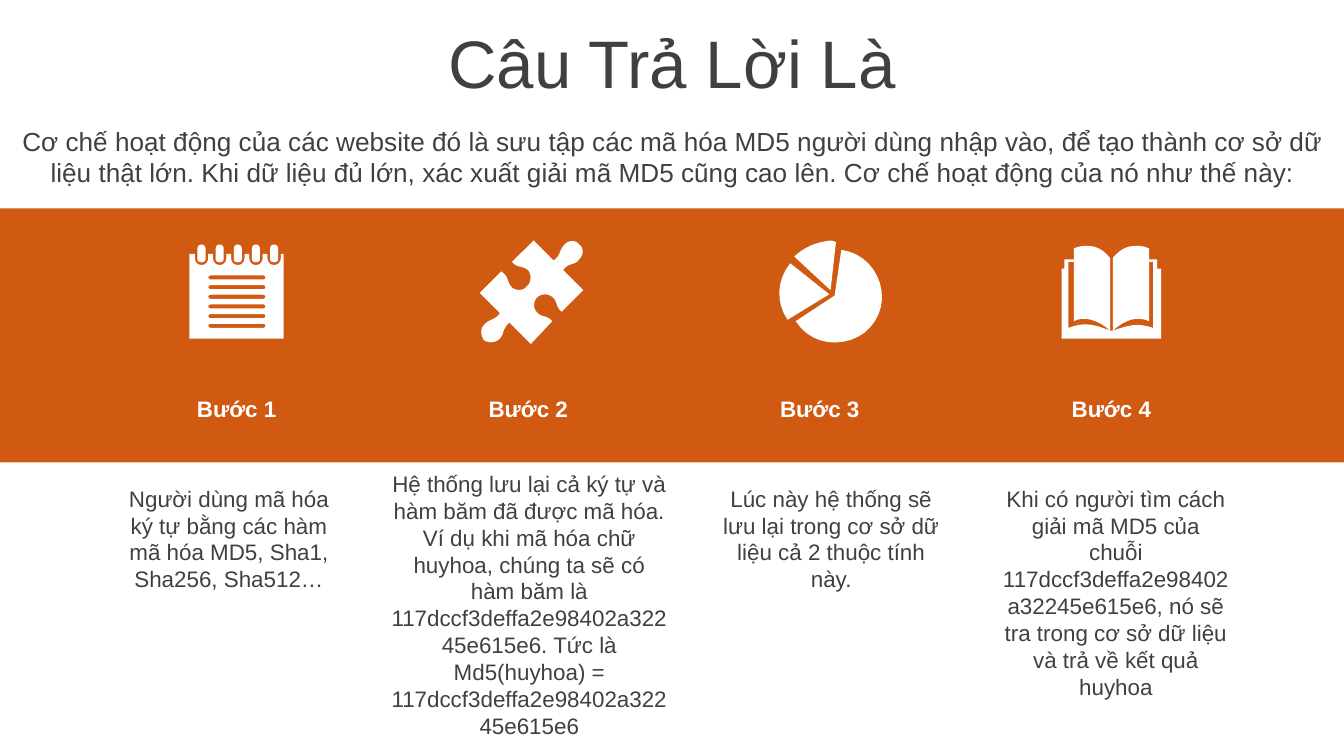
from pptx import Presentation
from pptx.dml.color import RGBColor
from pptx.enum.shapes import MSO_SHAPE
from pptx.enum.text import MSO_ANCHOR, MSO_AUTO_SIZE, PP_ALIGN
from pptx.util import Cm, Pt

RECTANGLE = MSO_SHAPE.RECTANGLE
CENTER = PP_ALIGN.CENTER
TOP, MIDDLE = MSO_ANCHOR.TOP, MSO_ANCHOR.MIDDLE
FIXED, GROW = MSO_AUTO_SIZE.NONE, MSO_AUTO_SIZE.SHAPE_TO_FIT_TEXT

THEME = {
    "font": "Arial",
    "dark": RGBColor.from_string("404040"),
    "white": RGBColor.from_string("FFFFFF"),
    "orange": RGBColor.from_string("D15A12"),
    "title": Pt(36), "intro": Pt(14), "body": Pt(12),
}
SLIDE_WIDTH, SLIDE_HEIGHT = 25.4, 14.29
LABEL_LEFT, LABEL_STEP = 2.62, 5.51
ICON_UNIT = 0.0254
CURVE_STEPS = 8

TITLE = "Câu Trả Lời Là"
INTRO = (
    "Cơ chế hoạt động của các website đó là sưu tập các mã hóa MD5 người dùng nhập vào, "
    "để tạo thành cơ sở dữ liệu thật lớn. Khi dữ liệu đủ lớn, xác xuất giải mã MD5 cũng "
    "cao lên. Cơ chế hoạt động của nó như thế này:"
)
STEPS = [
    ("Bước 1", (1.93, 9.04, 4.8, 2.31),
     "Người dùng mã hóa ký tự bằng các hàm mã hóa MD5, Sha1, Sha256, Sha512…"),
    ("Bước 2", (7.11, 8.76, 5.79, 5.38),
     "Hệ thống lưu lại cả ký tự và hàm băm đã được mã hóa. Ví dụ khi mã hóa chữ huyhoa, "
     "chúng ta sẽ có hàm băm là 117dccf3deffa2e98402a32245e615e6. Tức là Md5(huyhoa) = "
     "117dccf3deffa2e98402a32245e615e6"),
    ("Bước 3", (13.31, 9.04, 4.8, 2.31),
     "Lúc này hệ thống sẽ lưu lại trong cơ sở dữ liệu cả 2 thuộc tính này."),
    ("Bước 4", (18.69, 9.04, 4.8, 3.84),
     "Khi có người tìm cách giải mã MD5 của chuỗi 117dccf3deffa2e98402a32245e615e6, "
     "nó sẽ tra trong cơ sở dữ liệu và trả về kết quả huyhoa"),
]

PIE = [
    [(588, 196), (617, 219), (586, 238), (577, 225, 578, 208, 588, 196)],
    [(626, 186), (642, 188, 654, 201, 656, 217), (658, 233, 648, 248, 633, 253),
     (617, 258, 601, 253, 592, 239), (621, 220)],
    [(618, 179), (619, 179, 621, 180, 622, 180), (618, 216), (591, 191),
     (598, 184, 608, 180, 618, 179)],
]
BOOK = [[
    (826, 246), (828, 246), (840, 242, 846, 240, 858, 244), (858, 195), (855, 195),
    (855, 239), (846, 235, 837, 238, 828, 246), (828, 192),
    (833, 186, 838, 183, 845, 183), (848, 183, 851, 183, 855, 185), (855, 193),
    (861, 193), (861, 200), (864, 200), (864, 252), (790, 252), (790, 200),
    (792, 200), (792, 193), (799, 193), (799, 185), (803, 183, 806, 183, 809, 183),
    (816, 183, 821, 186, 826, 192), (826, 246), (817, 238, 807, 235, 799, 239),
    (799, 195), (795, 195), (795, 244), (808, 239, 815, 242, 826, 246),
]]
PUZZLE = [[
    (431, 182), (434, 184, 435, 189, 431, 193), (428, 198, 423, 195, 419, 201),
    (434, 216), (418, 232), (413, 228, 415, 224, 411, 221),
    (407, 218, 403, 219, 400, 221), (397, 224, 396, 229, 400, 233),
    (405, 237, 406, 234, 411, 239), (395, 256), (379, 240),
    (373, 246, 376, 247, 372, 252), (368, 256, 362, 255, 360, 253),
    (358, 250, 357, 245, 360, 242), (364, 237, 368, 239, 372, 233), (357, 218),
    (373, 202), (379, 206, 377, 210, 381, 214), (385, 217, 390, 216, 392, 213),
    (395, 211, 396, 205, 393, 201), (387, 197, 386, 200, 381, 195), (397, 179),
    (412, 194), (418, 189, 415, 188, 420, 182), (424, 178, 429, 179, 431, 182),
]]


def notebook():
    rings = [150 + 13.5 * i for i in range(5)]
    page = [(141, 189)]
    for x in rings:
        page += [(x - 5, 189), (x - 5, 192), (x - 5, 199, x + 5, 199, x + 5, 192), (x + 5, 189)]
    page += [(211, 189), (211, 252), (141, 252)]
    lines = [
        [(157, y), (154.5, y, 154.5, y + 3, 157, y + 3), (196, y + 3),
         (198, y + 3, 198, y, 196, y)]
        for y in (205 + 7.2 * i for i in range(6))
    ]
    tabs = [
        [(x - 3, 185), (x - 3, 181, x + 3, 181, x + 3, 185), (x + 3, 193),
         (x + 3, 196, x - 3, 196, x - 3, 193)]
        for x in rings
    ]
    return [page] + lines + tabs


def flatten(contour):
    points = [contour[0]]
    for segment in contour[1:]:
        if len(segment) == 2:
            points.append(segment)
            continue
        controls = [points[-1], segment[:2], segment[2:4], segment[4:]]
        for step in range(1, CURVE_STEPS + 1):
            t = step / CURVE_STEPS
            weights = ((1 - t) ** 3, 3 * t * (1 - t) ** 2, 3 * t * t * (1 - t), t ** 3)
            points.append(tuple(
                sum(w * control[axis] for w, control in zip(weights, controls))
                for axis in (0, 1)
            ))
    return [(Cm(x * ICON_UNIT), Cm(y * ICON_UNIT)) for x, y in points]


def paint(shape, color):
    shape.shadow.inherit = False
    shape.fill.solid()
    shape.fill.fore_color.rgb = color
    shape.line.fill.background()


def add_icon(slide, contours):
    first, *others = [flatten(contour) for contour in contours]
    builder = slide.shapes.build_freeform(*first[0])
    builder.add_line_segments(first[1:], close=True)
    for points in others:
        builder.move_to(*points[0])
        builder.add_line_segments(points[1:], close=True)
    paint(builder.convert_to_shape(), THEME["white"])


def write(shape, text, size, color, bold=False, anchor=TOP, fit=GROW):
    frame = shape.text_frame
    frame.word_wrap = True
    frame.auto_size = fit
    frame.vertical_anchor = anchor
    paragraph = frame.paragraphs[0]
    paragraph.alignment = CENTER
    run = paragraph.add_run()
    run.text = text
    run.font.name = THEME["font"]
    run.font.size = THEME[size]
    run.font.bold = bold
    run.font.color.rgb = THEME[color]


def add_text(slide, box, *content, **style):
    write(slide.shapes.add_textbox(*map(Cm, box)), *content, **style)


def main():
    presentation = Presentation()
    presentation.slide_width = Cm(SLIDE_WIDTH)
    presentation.slide_height = Cm(SLIDE_HEIGHT)
    slide = presentation.slides.add_slide(presentation.slide_layouts[5])

    title = slide.shapes.title
    title.left, title.top, title.width, title.height = map(Cm, (0, 0.36, SLIDE_WIDTH, 1.6))
    write(title, TITLE, "title", "dark", anchor=MIDDLE, fit=FIXED)
    add_text(slide, (0.02, 2.57, SLIDE_WIDTH, 0.79), INTRO, "intro", "dark",
             anchor=MIDDLE, fit=FIXED)

    band = slide.shapes.add_shape(RECTANGLE, *map(Cm, (0, 3.94, SLIDE_WIDTH, 4.8)))
    paint(band, THEME["orange"])
    for icon in (notebook(), PIE, BOOK, PUZZLE):
        add_icon(slide, icon)

    for index, (label, box, description) in enumerate(STEPS):
        label_box = (LABEL_LEFT + index * LABEL_STEP, 7.34, 3.71, 0.76)
        add_text(slide, label_box, label, "body", "white", bold=True)
        add_text(slide, box, description, "body", "dark")

    presentation.save("out.pptx")


if __name__ == "__main__":
    main()
